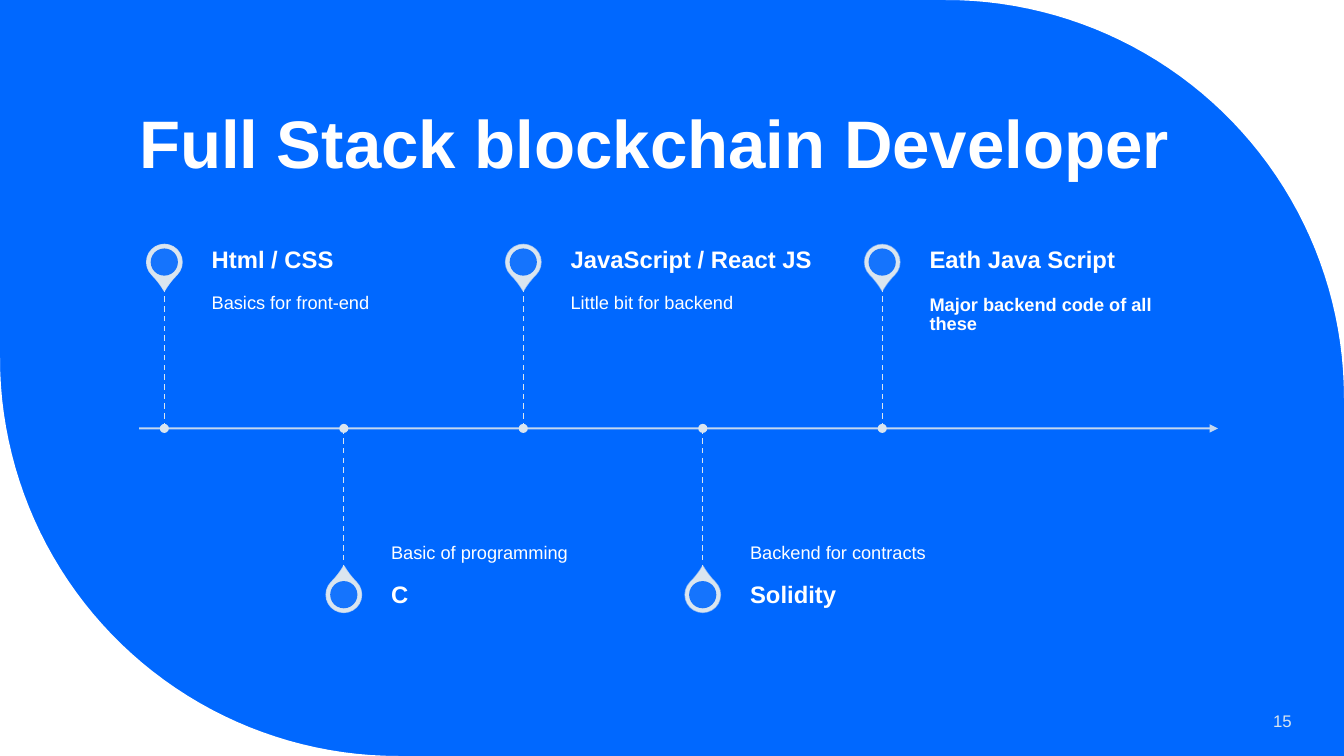
import math

from pptx import Presentation
from pptx.dml.color import RGBColor
from pptx.enum.dml import MSO_LINE
from pptx.enum.shapes import MSO_CONNECTOR, MSO_SHAPE
from pptx.enum.text import MSO_ANCHOR, PP_ALIGN
from pptx.oxml.ns import qn
from pptx.util import Inches, Pt
from lxml import etree

BLUE = RGBColor(0x00, 0x68, 0xFF)
WHITE = RGBColor(0xFF, 0xFF, 0xFF)
PALE = RGBColor(0xDA, 0xE5, 0xEF)

STRAIGHT = MSO_CONNECTOR.STRAIGHT
DASH = MSO_LINE.DASH
TEARDROP, OVAL = MSO_SHAPE.TEAR, MSO_SHAPE.OVAL
TOP, MIDDLE, BOTTOM = MSO_ANCHOR.TOP, MSO_ANCHOR.MIDDLE, MSO_ANCHOR.BOTTOM
LEFT, RIGHT = PP_ALIGN.LEFT, PP_ALIGN.RIGHT

WIDTH, HEIGHT = 13.33, 7.5
CORNER = 3.95
AXIS = 4.25
FIRST_STOP, STOP_STEP = 1.63, 1.78
STEM = 1.41
HEADING_HEIGHT = 0.5
TEXT_GAP, TEXT_WIDTH = 0.47, 2.53
PIN_SIZE, HOLE_SIZE, DOT_SIZE = 0.35, 0.27, 0.09
PIN_OFFSET = STEM + 0.24

# Stops alternate above and below the axis: heading, detail, bold detail
STOPS = [
    ("Html / CSS", "Basics for front-end", False),
    ("C", "Basic of programming", False),
    ("JavaScript / React JS", "Little bit for backend", False),
    ("Solidity", "Backend for contracts", False),
    ("Eath Java Script", "Major backend code of all these", True),
]


def set_opacity(fill_parent, percent):
    """Make the solid fill found under an XML element partly transparent."""
    color = fill_parent.find(qn("a:solidFill"))[0]
    etree.SubElement(color, qn("a:alpha")).set("val", str(percent * 1000))


def add_corner(page, center_x, center_y, start_degrees, corner):
    """Cover the slide corner outside a quarter circle."""
    points = []
    for degrees in range(start_degrees, start_degrees + 91, 2):
        angle = math.radians(degrees)
        points.append((Inches(center_x + CORNER * math.cos(angle)),
                       Inches(center_y + CORNER * math.sin(angle))))
    points.append((Inches(corner[0]), Inches(corner[1])))
    builder = page.shapes.build_freeform(*points[0])
    builder.add_line_segments(points[1:])
    shape = builder.convert_to_shape()
    shape.shadow.inherit = False
    shape.fill.solid()
    shape.fill.fore_color.rgb = WHITE
    shape.line.fill.background()


def add_line(page, start, end, width):
    line = page.shapes.add_connector(STRAIGHT, *map(Inches, start + end))
    line.line.color.rgb = PALE
    line.line.width = Pt(width)
    etree.SubElement(line._element.spPr, qn("a:effectLst"))
    return line


def add_centered(page, kind, x, y, size, color):
    shape = page.shapes.add_shape(kind, Inches(x - size / 2), Inches(y - size / 2),
                                  Inches(size), Inches(size))
    shape.shadow.inherit = False
    shape.fill.solid()
    shape.fill.fore_color.rgb = color
    shape.line.fill.background()
    return shape


def format_text(box, text, size, color, bold=False, anchor=MIDDLE, align=LEFT, spacing=0.9):
    frame = box.text_frame
    frame.word_wrap = True
    frame.vertical_anchor = anchor
    para = frame.paragraphs[0]
    para.text = text
    para.alignment = align
    para.line_spacing = spacing
    para.font.name = "Arial"
    para.font.size = Pt(size)
    para.font.bold = bold
    para.font.color.rgb = color


def add_text(page, area, insets, text, size, **style):
    box = page.shapes.add_textbox(*map(Inches, area))
    frame = box.text_frame
    (frame.margin_left, frame.margin_top,
     frame.margin_right, frame.margin_bottom) = map(Inches, insets)
    format_text(box, text, size, **style)


def add_axis(page):
    axis = add_line(page, (1.38, AXIS), (12.08, AXIS), 1.5)
    outline = axis.line._get_or_add_ln()
    set_opacity(outline, 90)
    etree.SubElement(outline, qn("a:tailEnd")).set("type", "triangle")


def add_pin(page, x, y, rotation, outline_opacity):
    drop = add_centered(page, TEARDROP, x, y, PIN_SIZE, PALE)
    drop.adjustments[0] = 1.15
    drop.rotation = rotation
    drop.line.color.rgb = PALE
    drop.line.width = Pt(1)
    set_opacity(drop.line._get_or_add_ln(), outline_opacity)
    hole = add_centered(page, OVAL, x, y, HOLE_SIZE, BLUE)
    set_opacity(hole._element.spPr, 90)


def add_stop(page, index, heading, detail, bold_detail):
    x = FIRST_STOP + index * STOP_STEP
    text_x = x + TEXT_GAP
    above = index % 2 == 0
    if above:
        side, rotation, anchor = -1, 135, TOP
        detail_top, heading_top = AXIS - STEM, AXIS - STEM - HEADING_HEIGHT
        insets = (0, 0.09, 0.09, 0.14)
    else:
        side, rotation, anchor = 1, 315, BOTTOM
        detail_top, heading_top = AXIS, AXIS + STEM
        insets = (0, 0.14, 0, 0.09)

    add_pin(page, x, AXIS + side * PIN_OFFSET, rotation, 90 - 10 * index)
    add_text(page, (text_x, detail_top, TEXT_WIDTH, STEM), insets, detail, 13,
             color=WHITE, bold=bold_detail, anchor=anchor)
    add_text(page, (text_x, heading_top, TEXT_WIDTH, HEADING_HEIGHT), (0, 0, 0.12, 0),
             heading, 17, color=WHITE, bold=True)
    stem = add_line(page, (x, AXIS), (x, AXIS + side * STEM), 1)
    stem.line.dash_style = DASH
    add_centered(page, OVAL, x, AXIS, DOT_SIZE, PALE)


def add_title(page, text):
    title = page.shapes.title
    title.left, title.top, title.width, title.height = map(Inches, (1.28, 0.42, 10.69, 1.45))
    format_text(title, text, 48, WHITE, bold=True, anchor=BOTTOM)


def main():
    deck = Presentation()
    deck.slide_width, deck.slide_height = Inches(WIDTH), Inches(HEIGHT)
    page = deck.slides.add_slide(deck.slide_layouts[5])
    page.background.fill.solid()
    page.background.fill.fore_color.rgb = BLUE

    add_corner(page, WIDTH - CORNER, CORNER, -90, (WIDTH, 0))
    add_corner(page, CORNER, HEIGHT - CORNER, 90, (0, HEIGHT))
    add_title(page, "Full Stack blockchain Developer")
    add_axis(page)
    for index, stop in enumerate(STOPS):
        add_stop(page, index, *stop)
    add_text(page, (11.1, 6.95, 1.81, 0.4), (0.1, 0.05, 0.1, 0.05), "15", 12,
             color=PALE, align=RIGHT, spacing=1.0)
    deck.save("out.pptx")


if __name__ == "__main__":
    main()
